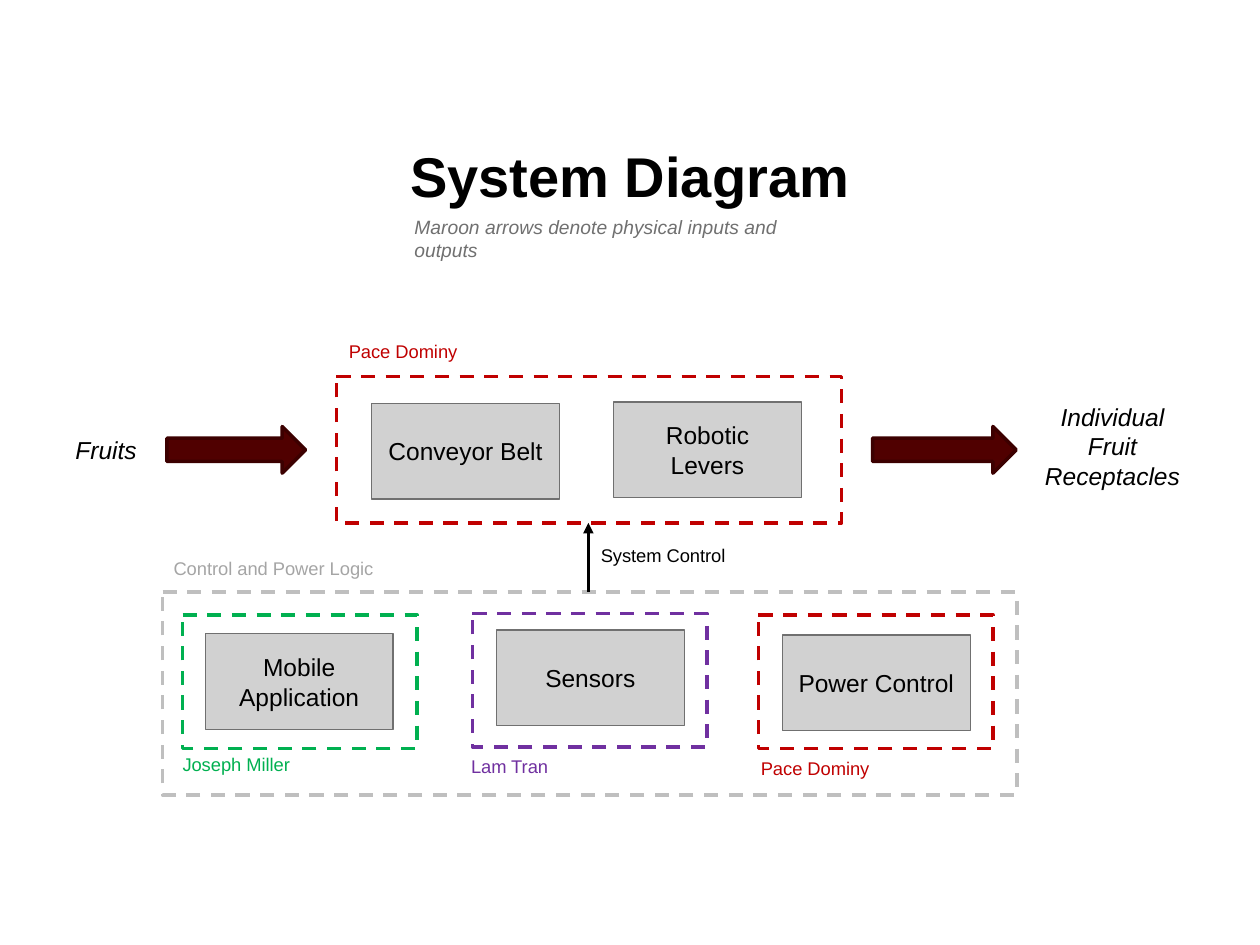
"""Build the system diagram slide."""
from typing import NamedTuple, Optional

from lxml.etree import SubElement
from pptx import Presentation
from pptx.dml.color import RGBColor
from pptx.enum.dml import MSO_LINE
from pptx.enum.shapes import MSO_CONNECTOR, MSO_SHAPE
from pptx.enum.text import MSO_ANCHOR, MSO_AUTO_SIZE, PP_ALIGN
from pptx.oxml.ns import qn
from pptx.util import Inches, Pt

COLORS = {
    "black": "000000", "box": "D1D1D1", "gray": "707070",
    "maroon": "500000", "dark maroon": "3C0000",
    "green": "00B050", "purple": "7030A0", "red": "C00000",
    "silver": "BFBFBF", "caption": "A5A5A5",
}
FONT = "Arial"
BOX_SIZE = (1.49, 0.76)
OWNER_SIZE = (1.86, 1.06)


class Block(NamedTuple):
    text: str
    left: float
    top: float


class Frame(NamedTuple):
    color: str
    left: float
    top: float
    width: float = OWNER_SIZE[0]
    height: float = OWNER_SIZE[1]


class Flow(NamedTuple):
    left: float
    top: float
    width: float
    height: float


class Label(NamedTuple):
    text: str
    left: float
    top: float
    width: float
    color: str
    height: float = 0.29
    size: float = 10.5
    italic: bool = False
    align: PP_ALIGN = PP_ALIGN.LEFT


BLOCKS = [
    Block("Sensors", 3.94, 5),
    Block("Mobile Application", 1.63, 5.03),
    Block("Power Control", 6.21, 5.04),
    Block("Robotic Levers", 4.87, 3.19),
    Block("Conveyor Belt", 2.95, 3.2),
]
FLOWS = [Flow(1.69, 3.02, 0.37, 1.1), Flow(7.31, 3, 0.37, 1.14)]
FRAMES = [
    Frame("green", 1.45, 4.88),
    Frame("purple", 3.75, 4.87),
    Frame("red", 6.02, 4.88),
    Frame("red", 2.67, 2.99, 4.01, 1.16),
    Frame("silver", 1.29, 4.7, 6.78, 1.61),
]
LABELS = [
    Label("Fruits", 0.5, 3.4, 0.71, "black", 0.34, 14, True),
    Label("Individual Fruit Receptacles", 8.18, 3.14, 1.3, "black", 0.81, 14, True,
          PP_ALIGN.CENTER),
    Label("Joseph Miller", 1.35, 5.93, 1.65, "green"),
    Label("Lam Tran", 3.64, 5.94, 1.03, "purple"),
    Label("Pace Dominy", 5.94, 5.96, 1.65, "red"),
    Label("Pace Dominy", 2.67, 2.65, 1.65, "red"),
    Label("Maroon arrows denote physical inputs and outputs", 3.19, 1.66, 3.62, "gray",
          size=11, italic=True),
    Label("Control and Power Logic", 1.28, 4.37, 1.9, "caption", 0.28),
    Label("System Control", 4.67, 4.27, 1.27, "black"),
]


def rgb(name: str) -> RGBColor:
    return RGBColor.from_string(COLORS[name])


def write(holder, text: str, size: float, color: str = "black",
          align: PP_ALIGN = PP_ALIGN.CENTER, bold: bool = False, italic: bool = False) -> None:
    frame = holder.text_frame
    frame.text = text
    frame.word_wrap = True
    paragraph = frame.paragraphs[0]
    paragraph.alignment = align
    font = paragraph.runs[0].font
    font.name, font.size, font.bold, font.italic = FONT, Pt(size), bold, italic
    font.color.rgb = rgb(color)


def add_outline(page, kind: MSO_SHAPE, place: tuple, line: str, weight: float,
                fill: Optional[str] = None):
    shape = page.shapes.add_shape(kind, *map(Inches, place))
    shape.shadow.inherit = False
    if fill:
        shape.fill.solid()
        shape.fill.fore_color.rgb = rgb(fill)
    else:
        shape.fill.background()
    shape.line.color.rgb = rgb(line)
    shape.line.width = Pt(weight)
    return shape


def add_block(page, block: Block) -> None:
    place = (block.left, block.top, *BOX_SIZE)
    box = add_outline(page, MSO_SHAPE.FLOWCHART_PROCESS, place, "gray", 0.75, "box")
    box.text_frame.vertical_anchor = MSO_ANCHOR.MIDDLE
    write(box, block.text, 14)


def add_frame(page, frame: Frame) -> None:
    place = (frame.left, frame.top, frame.width, frame.height)
    box = add_outline(page, MSO_SHAPE.FLOWCHART_PROCESS, place, frame.color, 2)
    box.line.dash_style = MSO_LINE.DASH


def add_flow(page, flow: Flow) -> None:
    arrow = add_outline(page, MSO_SHAPE.DOWN_ARROW, flow, "dark maroon", 2, "maroon")
    arrow.rotation = 270


def add_label(page, label: Label) -> None:
    place = (label.left, label.top, label.width, label.height)
    box = page.shapes.add_textbox(*map(Inches, place))
    write(box, label.text, label.size, label.color, label.align, italic=label.italic)
    box.text_frame.auto_size = MSO_AUTO_SIZE.SHAPE_TO_FIT_TEXT


def add_control_arrow(page, x: float, start: float, end: float) -> None:
    arrow = page.shapes.add_connector(
        MSO_CONNECTOR.STRAIGHT, *map(Inches, (x, start, x, end)))
    arrow.line.color.rgb = rgb("black")
    arrow.line.width = Pt(2)
    SubElement(arrow.line._get_or_add_ln(), qn("a:tailEnd"), type="triangle")
    SubElement(arrow._element.spPr, qn("a:effectLst"))


def add_title(page, text: str) -> None:
    title = page.shapes.title
    title.left, title.top, title.width, title.height = map(Inches, (0.5, 0.95, 9, 0.88))
    title.text_frame.vertical_anchor = MSO_ANCHOR.MIDDLE
    write(title, text, 32, bold=True)


def main() -> None:
    deck = Presentation()
    deck.slide_width, deck.slide_height = Inches(10), Inches(7.5)
    page = deck.slides.add_slide(deck.slide_layouts[5])
    add_title(page, "System Diagram")
    for block in BLOCKS:
        add_block(page, block)
    for flow in FLOWS:
        add_flow(page, flow)
    for frame in FRAMES:
        add_frame(page, frame)
    add_control_arrow(page, 4.67, 4.7, 4.15)
    for label in LABELS:
        add_label(page, label)
    deck.save("out.pptx")


if __name__ == "__main__":
    main()
